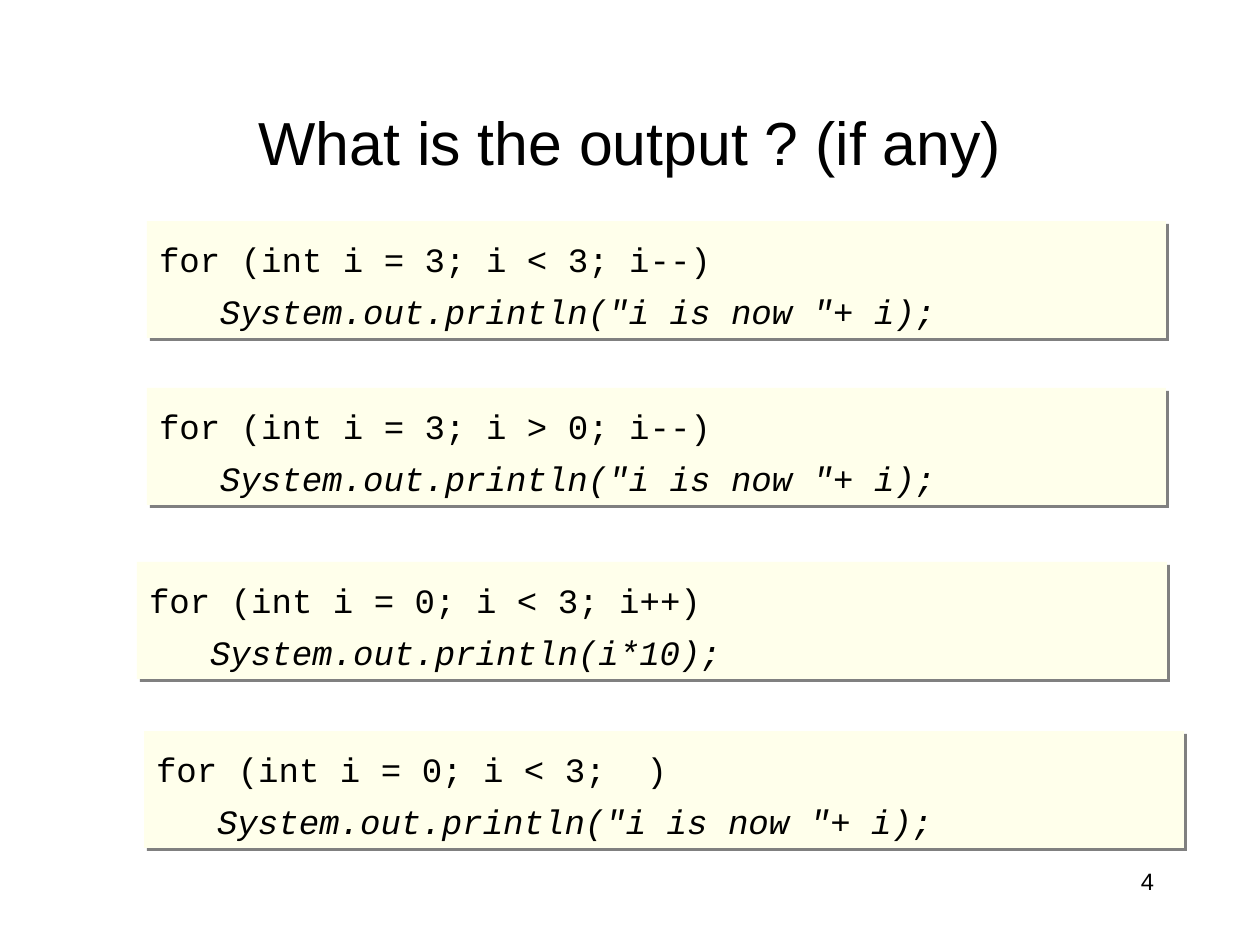
import pptx
import pptx.util
import pptx.dml.color
import pptx.enum.shapes
import pptx.enum.text
import pptx.oxml
import pptx.oxml.ns

SCALE = 914400 / 106.7
COLORS = {"text": "000000", "code": "FFFFEB", "shade": "808080"}
ALIGN = pptx.enum.text.PP_ALIGN
ANCHOR = pptx.enum.text.MSO_ANCHOR


def emu(px):
    """Turn pixels into EMU."""
    return pptx.util.Emu(round(px * SCALE))


def color(name):
    """Look up a colour by name."""
    return pptx.dml.color.RGBColor.from_string(COLORS[name])


class Deck:
    """Holds the style and the current slide."""

    sans, mono = "Arial", "Courier New"

    def __init__(self, width, height):
        """Start a deck with one blank slide."""
        self.file = pptx.Presentation()
        self.file.slide_width, self.file.slide_height = emu(width), emu(height)
        self.slide = self.file.slides.add_slide(self.file.slide_layouts[6])

    def frame(self, shape, anchor):
        """Set margins, wrap and anchor of a shape's text frame."""
        frame = shape.text_frame
        frame.margin_left = frame.margin_right = emu(12)
        frame.margin_top = frame.margin_bottom = emu(6)
        frame.word_wrap = True
        frame.vertical_anchor = anchor
        return frame

    def style(self, para, font, size, align, italic=False):
        """Format a paragraph and its runs."""
        para.alignment = align
        for run in para.runs:
            run.font.name = font
            run.font.size = pptx.util.Pt(size)
            run.font.italic = italic
            run.font.color.rgb = color("text")

    def label(self, text, box, size, align, anchor=ANCHOR.TOP):
        """Add a one-line text box."""
        shape = self.slide.shapes.add_textbox(*map(emu, box))
        frame = self.frame(shape, anchor)
        frame.text = text
        self.style(frame.paragraphs[0], self.sans, size, align)

    def shade(self, shape):
        """Give a shape a hard shadow to the lower right."""
        shape.shadow.inherit = False
        effects = shape._element.spPr.find(pptx.oxml.ns.qn("a:effectLst"))
        effects.append(pptx.oxml.parse_xml(
            f'<a:outerShdw {pptx.oxml.ns.nsdecls("a")} blurRad="0" '
            f'dist="{pptx.util.Pt(2.8)}" dir="2700000" algn="ctr" '
            f'rotWithShape="0"><a:srgbClr val="{COLORS["shade"]}"/>'
            '</a:outerShdw>'))

    def code(self, head, body, box):
        """Add a code panel: a loop head and its indented body."""
        kind = pptx.enum.shapes.MSO_SHAPE.RECTANGLE
        shape = self.slide.shapes.add_shape(kind, *map(emu, box))
        shape.fill.solid()
        shape.fill.fore_color.rgb = color("code")
        shape.line.fill.background()
        self.shade(shape)
        frame = self.frame(shape, ANCHOR.TOP)
        frame.text = f"{head}\n{body}"
        for para, italic in zip(frame.paragraphs, (False, True)):
            self.style(para, self.mono, 23, ALIGN.LEFT, italic)
            para.line_spacing = 1.28
        para._p.get_or_add_pPr().set("marL", str(emu(61)))


PRINT = 'System.out.println("i is now "+ i);'
LOOPS = [
    ("for (int i = 3; i < 3; i--)", PRINT, 147, 221, 1019),
    ("for (int i = 3; i > 0; i--)", PRINT, 147, 388, 1019),
    ("for (int i = 0; i < 3; i++)", "System.out.println(i*10);", 137, 562, 1030),
    ("for (int i = 0; i < 3;  )", PRINT, 144, 731, 1040),
]

deck = Deck(1260, 945)
deck.label("What is the output ? (if any)", (95, 84, 1071, 115), 41,
           ALIGN.CENTER, ANCHOR.MIDDLE)
for head, body, left, top, width in LOOPS:
    deck.code(head, body, (left, top, width, 117))
deck.label("4", (904, 861, 262, 63), 16, ALIGN.RIGHT)
deck.file.save("out.pptx")
